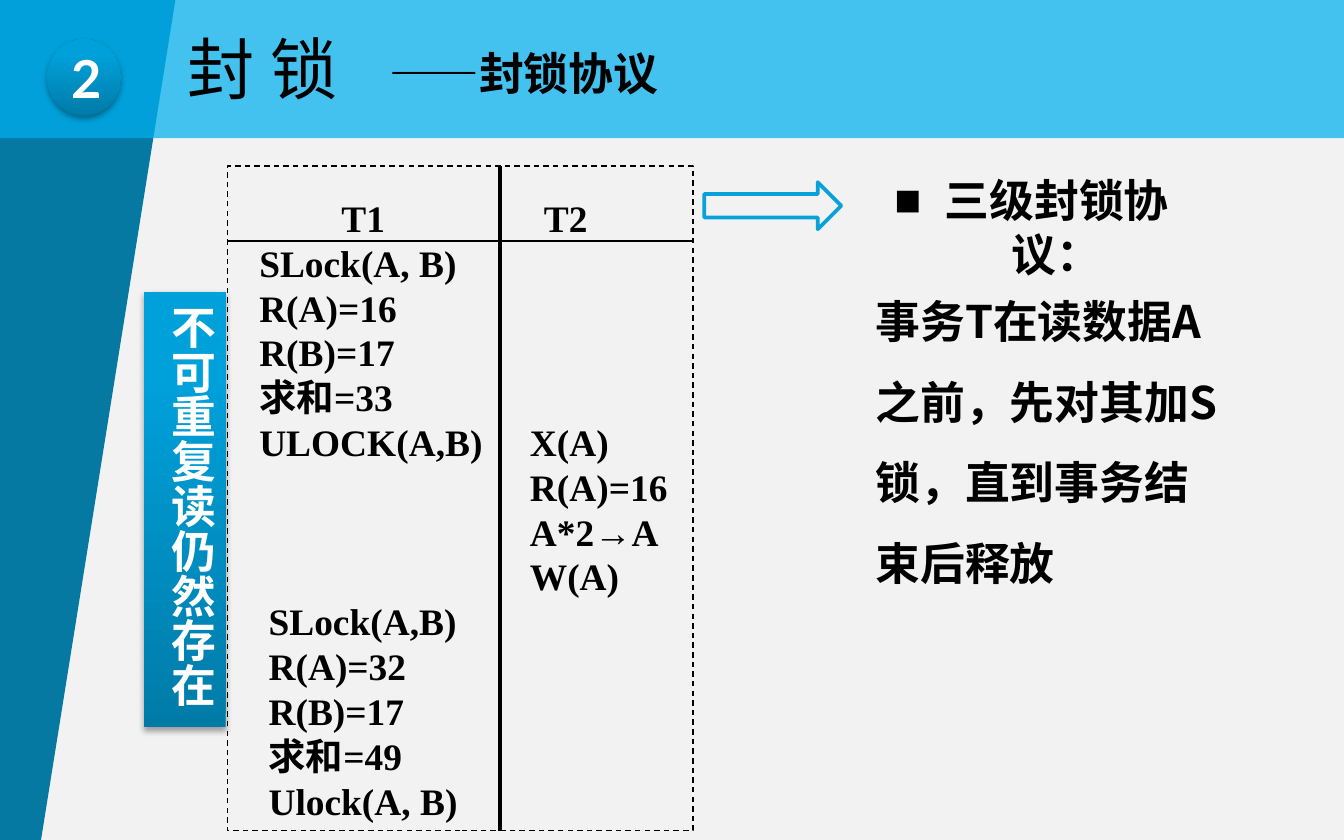
from collections import namedtuple
from copy import deepcopy

from lxml import etree
from pptx import Presentation, util as u
from pptx.dml import color
from pptx.enum import dml, shapes, text
from pptx.oxml import ns

Box = namedtuple("Box", "left top width height")
Theme = namedtuple(
    "Theme",
    "paper wedge band outline ink white glow latin cjk serif badge small body number title row",
)
THEME = Theme(
    paper="F2F2F2", wedge="0679A3", band="00B0F0", outline="08A1D9", ink="000000",
    white="FFFFFF", glow=((0, "007BA8"), (0.8, "00A0DA"), (1, "00A0DB")),
    latin="Arial", cjk="Noto Sans CJK SC", serif="Times New Roman", badge="Lato",
    small=20, body=24, number=28, title=36, row=24,
)
FIRST_STEPS = (
    (54, 0, "T1"), (10, 0, "SLock(A, B)"), (10, 0, "R(A)=16"), (10, 0, "R(B)=17"),
    (10, 0, "求和=33"), (10, 0, "ULOCK(A,B)"), (15, 3, "SLock(A,B)"),
    (15, 0, "R(A)=32"), (15, 0, "R(B)=17"), (15, 0, "求和=49"), (15, 0, "Ulock(A, B)"),
)
SECOND_STEPS = (
    (16.5, 0, "T2"), (9, 4, "X(A)"), (9, 0, "R(A)=16"), (9, 0, "A*2→A"), (9, 0, "W(A)"),
)


def rgb(value):
    """Turn a hex string into a colour."""
    return color.RGBColor.from_string(value)


def child(parent, tag, **values):
    """Append a drawing element with the given attributes."""
    node = etree.SubElement(parent, ns.qn(tag))
    for name, value in values.items():
        node.set(name, str(value))
    return node


def apply(target, values):
    """Set every attribute named in a dict of format values."""
    for name, value in values.items():
        setattr(target, name, value)


def place(box):
    """Give the four lengths of a box in points."""
    return [u.Pt(value) for value in box]


def write(para, words, size, font, ink=THEME.ink, bold=True):
    """Add one formatted span to a paragraph."""
    span = para.add_run()
    span.text = words
    apply(span.font, {"size": u.Pt(size), "name": font, "bold": bold})
    span.font.color.rgb = rgb(ink)
    child(span.font._element, "a:ea", typeface=THEME.cjk)


def indent(para, margin, first):
    """Set the left margin and first-line indent and return the properties."""
    layout = para._element.get_or_add_pPr()
    layout.set("marL", str(u.Pt(margin)))
    layout.set("indent", str(u.Pt(first)))
    return layout


def frame_of(shape, anchor=text.MSO_ANCHOR.TOP):
    """Prepare the text frame of a shape and return it."""
    frame = shape.text_frame
    apply(frame, {"word_wrap": True, "vertical_anchor": anchor})
    return frame


def add_label(page, box, anchor=text.MSO_ANCHOR.TOP):
    """Add a wrapping text box and return its first paragraph."""
    return frame_of(page.shapes.add_textbox(*place(box)), anchor).paragraphs[0]


def add_preset(parent, kind, box, fill=None):
    """Add a preset shape without line or shadow."""
    shape = parent.shapes.add_shape(kind, *place(box))
    shape.shadow.inherit = False
    shape.line.fill.background()
    if fill:
        shape.fill.solid()
        shape.fill.fore_color.rgb = rgb(fill)
    else:
        shape.fill.background()
    return shape


def add_glossy(page, kind, box):
    """Add a shape with the blue gradient and a soft shadow."""
    shape = add_preset(page, kind, box)
    shape.fill.gradient()
    shape.fill.gradient_angle = 90
    stops = shape._element.spPr.find(".//" + ns.qn("a:gsLst"))
    stops.append(deepcopy(stops[-1]))
    for stop, (position, ink) in zip(shape.fill.gradient_stops, THEME.glow):
        stop.position = position
        stop.color.rgb = rgb(ink)
    effects = shape._element.spPr.find(ns.qn("a:effectLst"))
    shadow = child(effects, "a:outerShdw", blurRad=u.Pt(3.1), dist=u.Pt(1.8),
                   dir=5400000, rotWithShape=0)
    child(child(shadow, "a:srgbClr", val=THEME.ink), "a:alpha", val=35000)
    return shape


def add_rule(parent, start, end, width):
    """Draw a straight black line."""
    line = parent.shapes.add_connector(shapes.MSO_CONNECTOR.STRAIGHT, *place(start + end))
    line.line.color.rgb = rgb(THEME.ink)
    line.line.width = u.Pt(width)
    child(line._element.spPr, "a:effectLst")


def add_backdrop(page, box):
    """Draw the slanted wedge and the translucent header band."""
    page.background.fill.solid()
    page.background.fill.fore_color.rgb = rgb(THEME.paper)
    corners = [(0, box.height), (0, 0), (94, 0), (22, box.height)]
    points = [(u.Pt(box.left + x), u.Pt(box.top + y)) for x, y in corners]
    builder = page.shapes.build_freeform(*points[0])
    builder.add_line_segments(points[1:], close=True)
    wedge = builder.convert_to_shape()
    wedge.shadow.inherit = False
    wedge.fill.solid()
    wedge.fill.fore_color.rgb = rgb(THEME.wedge)
    wedge.line.fill.background()
    band = add_preset(page, shapes.MSO_SHAPE.RECTANGLE, box._replace(height=74), THEME.band)
    child(band._element.spPr.find(".//" + ns.qn("a:srgbClr")), "a:alpha", val=72000)


def add_header(page, box):
    """Place the section number, title and subtitle."""
    left, top = box.left, box.top
    para = add_label(page, Box(left + 201.6, top + 21, 181.5, 36))
    write(para, "——", THEME.body, THEME.latin)
    write(para, "封锁协议", THEME.body, THEME.cjk)
    para = add_label(page, Box(left + 93.6, top, 113, 72), text.MSO_ANCHOR.MIDDLE)
    write(para, "封 锁", THEME.title, THEME.latin, bold=False)
    badge = add_glossy(page, shapes.MSO_SHAPE.OVAL, Box(left + 25.2, top + 21, 39.6, 41))
    para = frame_of(badge, text.MSO_ANCHOR.MIDDLE).paragraphs[0]
    para.alignment = text.PP_ALIGN.CENTER
    write(para, "2", THEME.number, THEME.badge, THEME.white)


def add_steps(group, box, steps):
    """List the steps of one transaction, with gaps counted in rows."""
    frame = frame_of(group.shapes.add_textbox(*place(box)))
    for index, (offset, skipped, words) in enumerate(steps):
        para = frame.add_paragraph() if index else frame.paragraphs[0]
        apply(para, {"line_spacing": 1.0 if index else 1.5,
                     "space_before": u.Pt(skipped * THEME.row)})
        indent(para, offset, 0)
        write(para, words, THEME.small, THEME.serif)


def add_schedule(page, box):
    """Draw the dashed two-column schedule of T1 and T2."""
    group = page.shapes.add_group_shape()
    panel = add_preset(group, shapes.MSO_SHAPE.RECTANGLE, box)
    panel.line.color.rgb = rgb(THEME.ink)
    apply(panel.line, {"width": u.Pt(0.75), "dash_style": dml.MSO_LINE.DASH})
    right, bottom = box.left + box.width, box.top + box.height
    divider, header = box.left + 146, box.top + 40.3
    add_steps(group, box._replace(width=divider - box.left), FIRST_STEPS)
    add_steps(group, box._replace(left=divider, width=right - divider), SECOND_STEPS)
    add_rule(group, (divider, box.top), (divider, bottom), 2.5)
    add_rule(group, (box.left, header), (right, header), 1)


def add_protocol(page, box):
    """Place the arrow, the bulleted heading and the explanation."""
    left, top = box.left, box.top
    para = add_label(page, Box(left + 73.4, top, 203.8, 36))
    para.alignment = text.PP_ALIGN.CENTER
    layout = indent(para, 27, -27)
    layout.set("hangingPunct", "0")
    child(layout, "a:buFont", typeface=THEME.latin)
    child(layout, "a:buChar", char="■")
    write(para, "三级封锁协议：", THEME.body, THEME.latin)
    para = add_label(page, Box(left + 84.7, top + 50.4, 198.7, 181.5))
    para.line_spacing = 1.5
    write(para, "事务T在读数据A之前，先对其加S锁，直到事务结束后释放", THEME.body, THEME.cjk)
    arrow = add_preset(page, shapes.MSO_SHAPE.RIGHT_ARROW, Box(left, top + 8.6, 73.4, 25.2))
    arrow.line.color.rgb = rgb(THEME.outline)
    arrow.line.width = u.Pt(2)


def add_side_note(page, box):
    """Draw the vertical note beside the schedule."""
    frame = frame_of(add_glossy(page, shapes.MSO_SHAPE.RECTANGLE, box))
    frame._element.find(ns.qn("a:bodyPr")).set("vert", "eaVert")
    para = frame.paragraphs[0]
    para.alignment = text.PP_ALIGN.CENTER
    write(para, "不可重复读仍然存在", THEME.body, THEME.cjk, THEME.white)


def main():
    """Build the slide and save it."""
    deck = Presentation()
    apply(deck, {"slide_width": u.Pt(720), "slide_height": u.Pt(450)})
    page = deck.slides.add_slide(deck.slide_layouts[6])
    add_backdrop(page, Box(0, 0, 720, 450))
    add_header(page, Box(0, 0, 720, 74))
    add_schedule(page, Box(121.8, 89, 249.5, 356))
    add_protocol(page, Box(377.3, 89, 284, 232))
    add_side_note(page, Box(77, 156.3, 44, 233.3))
    deck.save("out.pptx")


if __name__ == "__main__":
    main()
